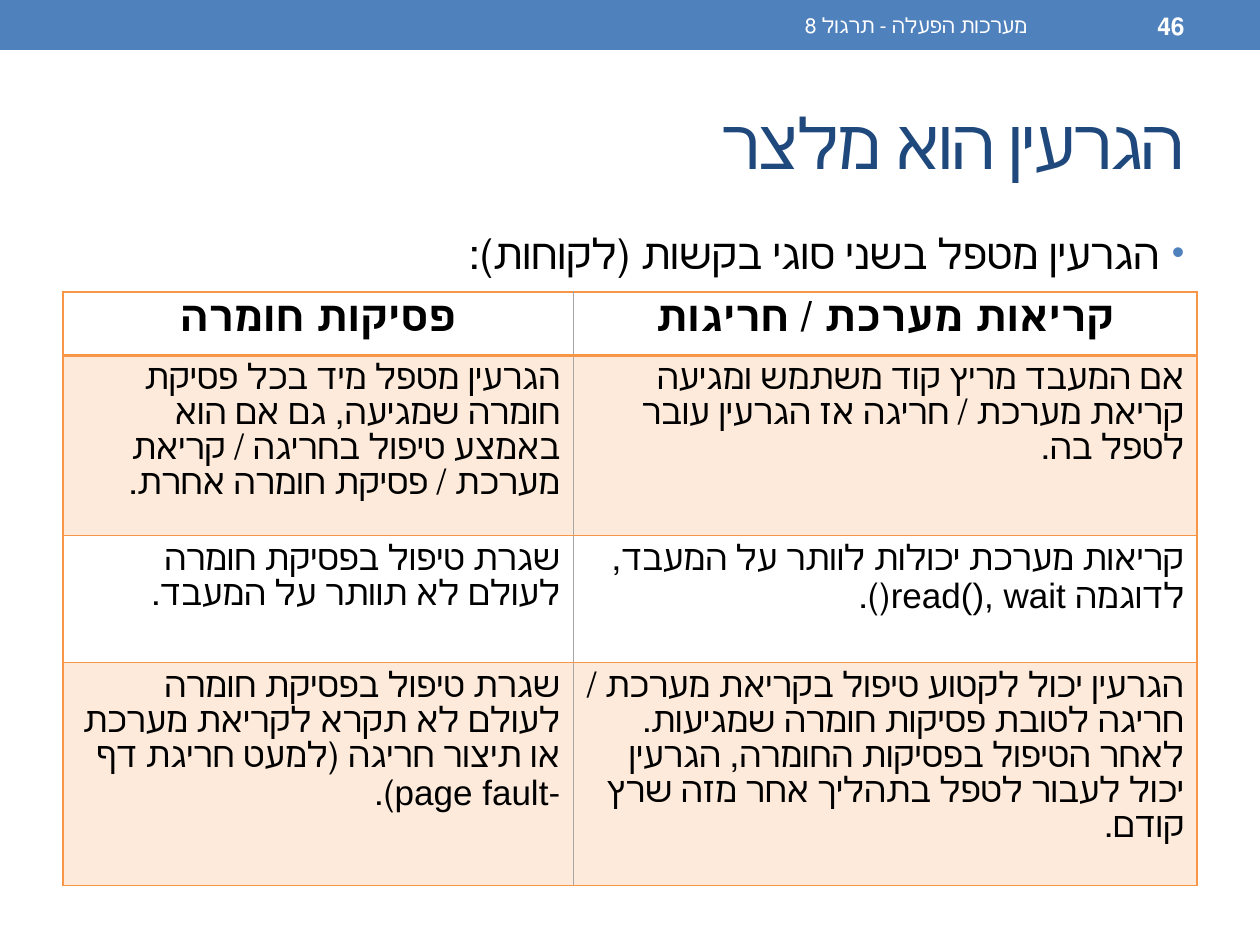
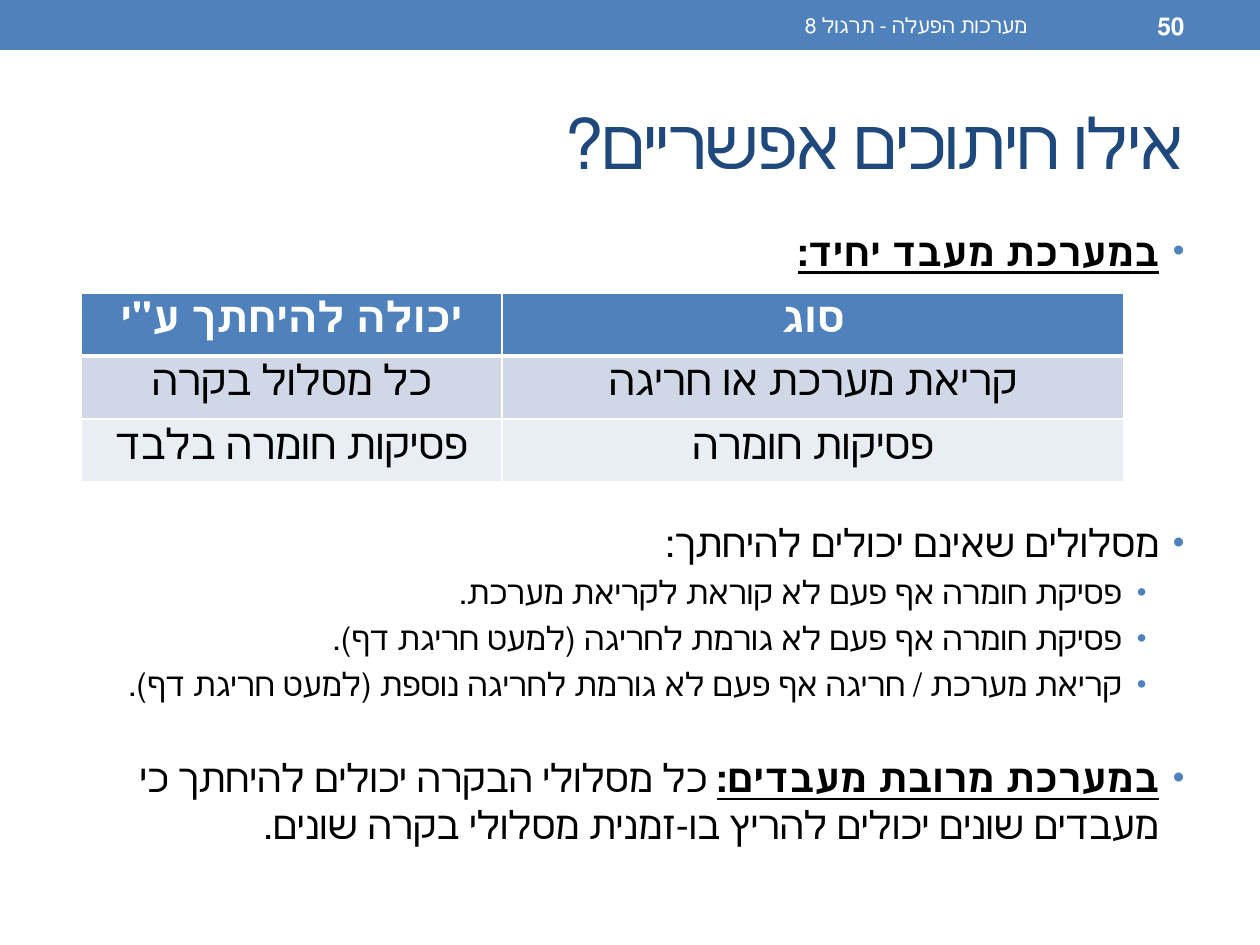
"""Build two right-to-left slides on how a kernel serves its requests."""
from dataclasses import dataclass

from lxml.etree import SubElement
from pptx import Presentation
from pptx.dml.color import RGBColor
from pptx.enum.shapes import MSO_SHAPE
from pptx.enum.text import MSO_ANCHOR, MSO_AUTO_SIZE, PP_ALIGN
from pptx.oxml.ns import qn
from pptx.util import Emu, Pt


@dataclass(frozen=True)
class Theme:
    """Colours, fonts and type sizes."""
    blue: str = "4F81BD"
    navy: str = "1F497D"
    black: str = "000000"
    white: str = "FFFFFF"
    orange: str = "F79646"
    peach: str = "FDEADA"
    gray: str = "A6A6A6"
    mist: str = "D0D8E8"
    pale: str = "E9EDF4"
    mono: str = "DejaVu Sans Mono"
    sans: str = "Arial"
    title: int = 40
    head: int = 24
    cell: int = 20
    page: int = 14
    foot: int = 12


T = Theme()
FOOTER = "מערכות הפעלה - תרגול 8"
SIZE = 1260, 945
BAND = 0, 0, 1260, 50
TITLE = 63, 73, 1134, 136
BODY = 63, 221, 1134, 672
PAGE = 1050, 3, 147, 45
FOOT = 473, 3, 567, 45
INDENT = 25, 63
HANG = 25

SLIDES = [
    {
        "page": "46",
        "title": "הגרעין הוא מלצר",
        "sizes": (24, 20),
        "list": [(0, 0, [("הגרעין מטפל בשני סוגי בקשות (לקוחות):", False)])],
        "table": {
            "at": (63, 292), "cols": (510, 624), "rows": (63, 156, 127, 188),
            "ink": T.black, "fills": (None, T.peach, None, T.peach),
            "line": T.orange, "inner": (T.gray, 0.5), "rule": 2,
            "size": T.cell, "align": PP_ALIGN.RIGHT,
            "cells": [
                ("פסיקות חומרה", "קריאות מערכת / חריגות"),
                ("הגרעין מטפל מיד בכל פסיקת חומרה שמגיעה, גם אם הוא באמצע "
                 "טיפול בחריגה / קריאת מערכת / פסיקת חומרה אחרת.",
                 "אם המעבד מריץ קוד משתמש ומגיעה קריאת מערכת / חריגה אז "
                 "הגרעין עובר לטפל בה."),
                ("שגרת טיפול בפסיקת חומרה לעולם לא תוותר על המעבד.",
                 "קריאות מערכת יכולות לוותר על המעבד, לדוגמה read(), wait()."),
                ("שגרת טיפול בפסיקת חומרה לעולם לא תקרא לקריאת מערכת או "
                 "תיצור חריגה (למעט חריגת דף -page fault).",
                 "הגרעין יכול לקטוע טיפול בקריאת מערכת / חריגה לטובת פסיקות "
                 "חומרה שמגיעות. לאחר הטיפול בפסיקות החומרה, הגרעין יכול "
                 "לעבור לטפל בתהליך אחר מזה שרץ קודם."),
            ],
        },
    },
    {
        "page": "50",
        "title": "אילו חיתוכים אפשריים?",
        "sizes": (22.2, 18.5),
        "list": [
            (0, 0, [("במערכת מעבד יחיד:", True)]),
            (0, 140, [("מסלולים שאינם יכולים להיחתך:", False)]),
            (1, 4, [("פסיקת חומרה אף פעם לא קוראת לקריאת מערכת.", False)]),
            (1, 4, [("פסיקת חומרה אף פעם לא גורמת לחריגה (למעט חריגת דף).",
                     False)]),
            (1, 4, [("קריאת מערכת / חריגה אף פעם לא גורמת לחריגה נוספת "
                     "(למעט חריגת דף).", False)]),
            (0, 29, [("במערכת מרובת מעבדים:", True),
                     (" כל מסלולי הבקרה יכולים להיחתך כי מעבדים שונים יכולים "
                      "להריץ בו-זמנית מסלולי בקרה שונים.", False)]),
        ],
        "table": {
            "at": (81, 293), "cols": (421, 622), "rows": (54, 54, 54),
            "ink": T.white, "fills": (T.blue, T.mist, T.pale),
            "line": T.white, "inner": (T.white, 1), "rule": 3,
            "size": T.head, "align": PP_ALIGN.CENTER,
            "cells": [
                ('יכולה להיחתך ע"י', "סוג"),
                ("כל מסלול בקרה", "קריאת מערכת או חריגה"),
                ("פסיקות חומרה בלבד", "פסיקות חומרה"),
            ],
        },
    },
]


def px(n):
    return Emu(round(n * 914400 / 126))


def place(shape, box):
    shape.left, shape.top, shape.width, shape.height = map(px, box)


def paint(par, font, size, ink, bold=None, align=PP_ALIGN.RIGHT):
    par.alignment = align
    par._p.get_or_add_pPr().set("rtl", "1")
    face = par.font
    face.size, face.bold, face.name = Pt(size), bold, font
    face.color.rgb = RGBColor.from_string(ink)
    return face


def bullet(par, level):
    par.level = level
    props = par._p.get_or_add_pPr()
    props.set("marL", str(px(INDENT[level])))
    props.set("indent", str(-px(HANG)))
    tint = SubElement(props, qn("a:buClr"))
    SubElement(tint, qn("a:srgbClr"), val=T.blue)
    SubElement(props, qn("a:buSzPct"), val="85000")
    SubElement(props, qn("a:buFont"), typeface=T.sans)
    SubElement(props, qn("a:buChar"), char="•")


def label(slide, box, text, size, bold):
    frame = slide.shapes.add_textbox(*map(px, box)).text_frame
    frame.word_wrap = True
    frame.vertical_anchor = MSO_ANCHOR.MIDDLE
    frame.text = text
    paint(frame.paragraphs[0], T.mono, size, T.white, bold)


def band(slide):
    bar = slide.shapes.add_shape(MSO_SHAPE.RECTANGLE, *map(px, BAND))
    bar.shadow.inherit = False
    bar.fill.solid()
    bar.fill.fore_color.rgb = RGBColor.from_string(T.blue)
    bar.line.fill.background()


def heading(shape, text):
    place(shape, TITLE)
    frame = shape.text_frame
    frame.auto_size = MSO_AUTO_SIZE.NONE
    frame.vertical_anchor = MSO_ANCHOR.MIDDLE
    frame.text = text
    face = paint(frame.paragraphs[0], T.mono, T.title, T.navy)
    face._element.set("spc", "-100")


def bullets(shape, items, sizes):
    place(shape, BODY)
    frame = shape.text_frame
    frame.auto_size = MSO_AUTO_SIZE.NONE
    for n, (level, gap, parts) in enumerate(items):
        par = frame.add_paragraph() if n else frame.paragraphs[0]
        par.space_before = Pt(gap)
        bullet(par, level)
        paint(par, T.mono, sizes[level], T.black)
        for text, strong in parts:
            run = par.add_run()
            run.text = text
            if strong:
                run.font.bold = run.font.underline = True


def edge(cell, side, ink, width):
    line = SubElement(cell._tc.get_or_add_tcPr(), qn(f"a:ln{side}"),
                      w=str(Pt(width)))
    fill = SubElement(line, qn("a:solidFill"))
    SubElement(fill, qn("a:srgbClr"), val=ink)


def grid(slide, data):
    cols, rows = data["cols"], data["rows"]
    box = *data["at"], sum(cols), sum(rows)
    table = slide.shapes.add_table(len(rows), len(cols),
                                   *map(px, box)).table
    for col, width in zip(table.columns, cols):
        col.width = px(width)
    outer = data["line"], 1
    rule = data["line"], data["rule"]
    for r, texts in enumerate(data["cells"]):
        table.rows[r].height = px(rows[r])
        for c, text in enumerate(texts):
            cell = table.cell(r, c)
            edge(cell, "L", *(data["inner"] if c else outer))
            edge(cell, "R", *(outer if c else data["inner"]))
            edge(cell, "T", *(rule if r == 1 else outer))
            edge(cell, "B", *(outer if r else rule))
            if data["fills"][r]:
                cell.fill.solid()
                cell.fill.fore_color.rgb = RGBColor.from_string(
                    data["fills"][r])
            else:
                cell.fill.background()
            cell.text = text
            par = cell.text_frame.paragraphs[0]
            if r:
                paint(par, T.sans, data["size"], T.black, False, data["align"])
            else:
                paint(par, T.sans, T.head, data["ink"], True, PP_ALIGN.CENTER)


def main():
    deck = Presentation()
    deck.slide_width, deck.slide_height = map(px, SIZE)
    for data in SLIDES:
        slide = deck.slides.add_slide(deck.slide_layouts[1])
        band(slide)
        heading(slide.shapes.title, data["title"])
        bullets(slide.placeholders[1], data["list"], data["sizes"])
        label(slide, PAGE, data["page"], T.page, True)
        label(slide, FOOT, FOOTER, T.foot, False)
        grid(slide, data["table"])
    deck.save("out.pptx")


if __name__ == "__main__":
    main()
